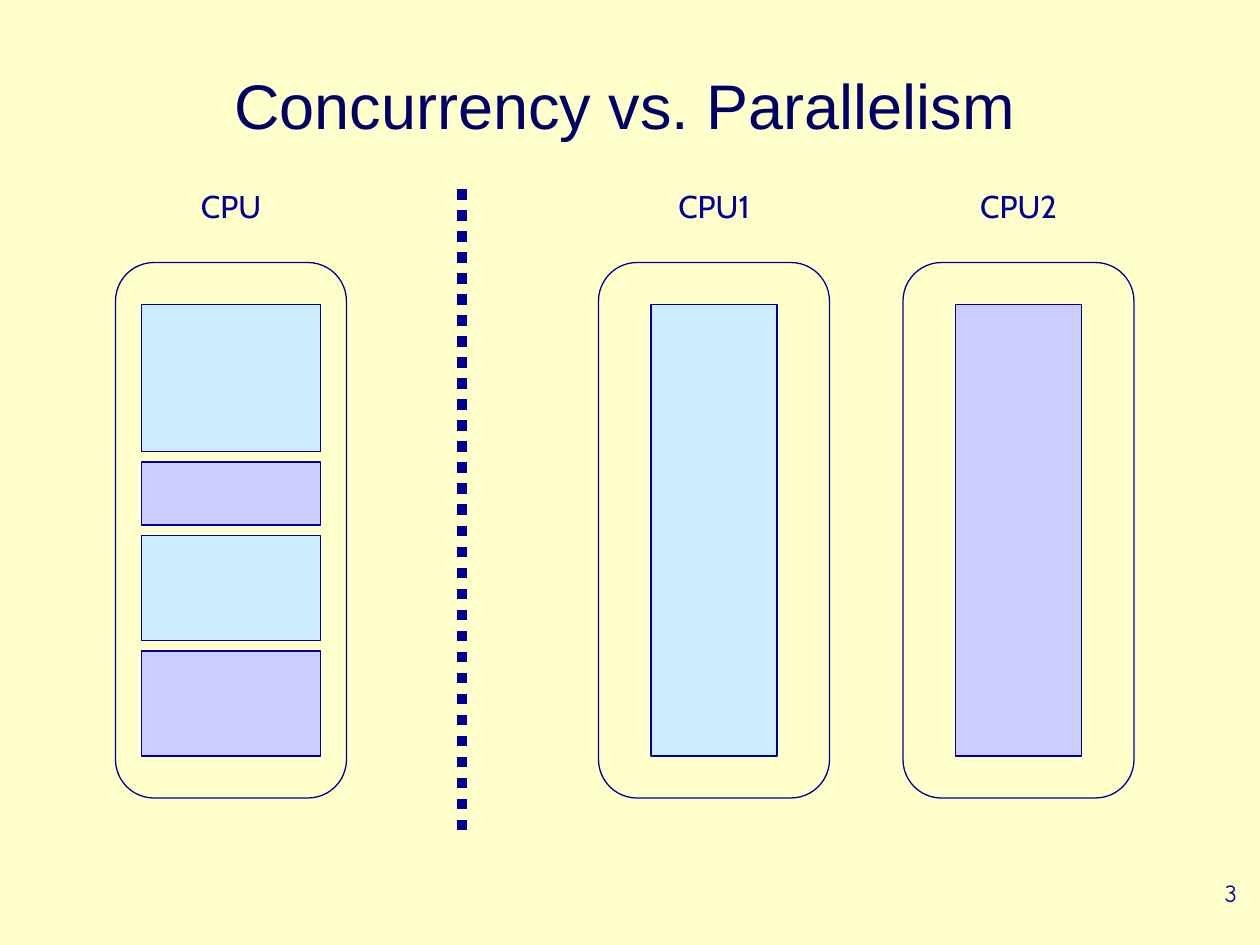
from dataclasses import dataclass

from lxml import etree
from pptx import Presentation
from pptx.dml.color import RGBColor
from pptx.enum.dml import MSO_LINE
from pptx.enum.shapes import MSO_CONNECTOR, MSO_SHAPE
from pptx.enum.text import MSO_ANCHOR, PP_ALIGN
from pptx.oxml.ns import qn
from pptx.util import Inches, Length, Pt

RECT, ROUNDED = MSO_SHAPE.RECTANGLE, MSO_SHAPE.ROUNDED_RECTANGLE
STRAIGHT = MSO_CONNECTOR.STRAIGHT
CENTER, RIGHT = PP_ALIGN.CENTER, PP_ALIGN.RIGHT
TOP, MIDDLE = MSO_ANCHOR.TOP, MSO_ANCHOR.MIDDLE
SYS_DOT = MSO_LINE.ROUND_DOT

COLS, ROWS = 120, 90  # twelve grid units to the inch


@dataclass(frozen=True)
class TextStyle:
    font: str
    size: float
    color: str


@dataclass(frozen=True)
class Theme:
    background: str = "FFFFCC"
    ink: str = "000099"
    task_a: str = "CCECFF"
    task_b: str = "CCCCFF"
    outline: float = 0.75
    divider: float = 6
    title: TextStyle = TextStyle("Arial", 36, "000066")
    label: TextStyle = TextStyle("Cabin", 18, "000099")
    number: TextStyle = TextStyle("Comic Neue", 14, "000099")


@dataclass(frozen=True)
class Slice:
    rows: float
    color: str


@dataclass(frozen=True)
class Cpu:
    name: str
    col: float
    task_cols: float
    slices: tuple[Slice, ...]


THEME = Theme()
CPU_TOP, CPU_COLS, CPU_ROWS = 25, 22, 51
TASK_TOP, TASK_ROWS, TASK_GAP = 29, 43, 1
LABEL_TOP, LABEL_ROWS = 17.2, 4.8

CPUS = (
    Cpu("CPU", 11, 17, (Slice(14, THEME.task_a), Slice(6, THEME.task_b),
                        Slice(10, THEME.task_a), Slice(10, THEME.task_b))),
    Cpu("CPU1", 57, 12, (Slice(TASK_ROWS, THEME.task_a),)),
    Cpu("CPU2", 86, 12, (Slice(TASK_ROWS, THEME.task_b),)),
)


def grid(*units: float) -> list[Length]:
    return [Inches(u / 12) for u in units]


def rgb(color: str) -> RGBColor:
    return RGBColor.from_string(color)


def add_box(slide, kind, col: float, row: float, cols: float, rows: float,
            fill: str) -> None:
    sp = slide.shapes.add_shape(kind, *grid(col, row, cols, rows))
    sp.shadow.inherit = False
    sp.fill.solid()
    sp.fill.fore_color.rgb = rgb(fill)
    sp.line.color.rgb = rgb(THEME.ink)
    sp.line.width = Pt(THEME.outline)


def add_text(slide, text: str, col: float, row: float, cols: float, rows: float,
             style: TextStyle, align=CENTER, anchor=TOP, wrap: bool = True,
             spacing: float = 1.0) -> None:
    sp = slide.shapes.add_textbox(*grid(col, row, cols, rows))
    tf = sp.text_frame
    tf.word_wrap = wrap
    tf.vertical_anchor = anchor
    tf.text = text
    p = tf.paragraphs[0]
    p.alignment = align
    p.line_spacing = spacing
    r = p.runs[0]
    r.font.name = style.font
    r.font.size = Pt(style.size)
    r.font.color.rgb = rgb(style.color)


def add_divider(slide, col: float, top: float, bottom: float) -> None:
    line = slide.shapes.add_connector(STRAIGHT, *grid(col, top, col, bottom))
    line.line.color.rgb = rgb(THEME.ink)
    line.line.width = Pt(THEME.divider)
    line.line.dash_style = SYS_DOT
    etree.SubElement(line._element.spPr, qn("a:effectLst"))


def add_cpu(slide, cpu: Cpu) -> None:
    add_box(slide, ROUNDED, cpu.col, CPU_TOP, CPU_COLS, CPU_ROWS, THEME.background)
    task_col = cpu.col + (CPU_COLS - cpu.task_cols) / 2
    row = TASK_TOP
    for part in cpu.slices:
        add_box(slide, RECT, task_col, row, cpu.task_cols, part.rows, part.color)
        row += part.rows + TASK_GAP
    add_text(slide, cpu.name, cpu.col, LABEL_TOP, CPU_COLS, LABEL_ROWS,
             THEME.label, wrap=False)


def main() -> None:
    prs = Presentation()
    prs.slide_width, prs.slide_height = grid(COLS, ROWS)
    slide = prs.slides.add_slide(prs.slide_layouts[6])
    slide.background.fill.solid()
    slide.background.fill.fore_color.rgb = rgb(THEME.background)

    # Title and slide number
    add_text(slide, "Concurrency vs. Parallelism", 12, 5, 95, 11, THEME.title,
             anchor=MIDDLE, spacing=0.85)
    add_text(slide, "3", 94, 83, 25, 6, THEME.number, align=RIGHT)

    # One shared CPU on the left, two parallel CPUs on the right
    for cpu in CPUS:
        add_cpu(slide, cpu)
    add_divider(slide, 44, 18, 80)

    prs.save("out.pptx")


if __name__ == "__main__":
    main()
